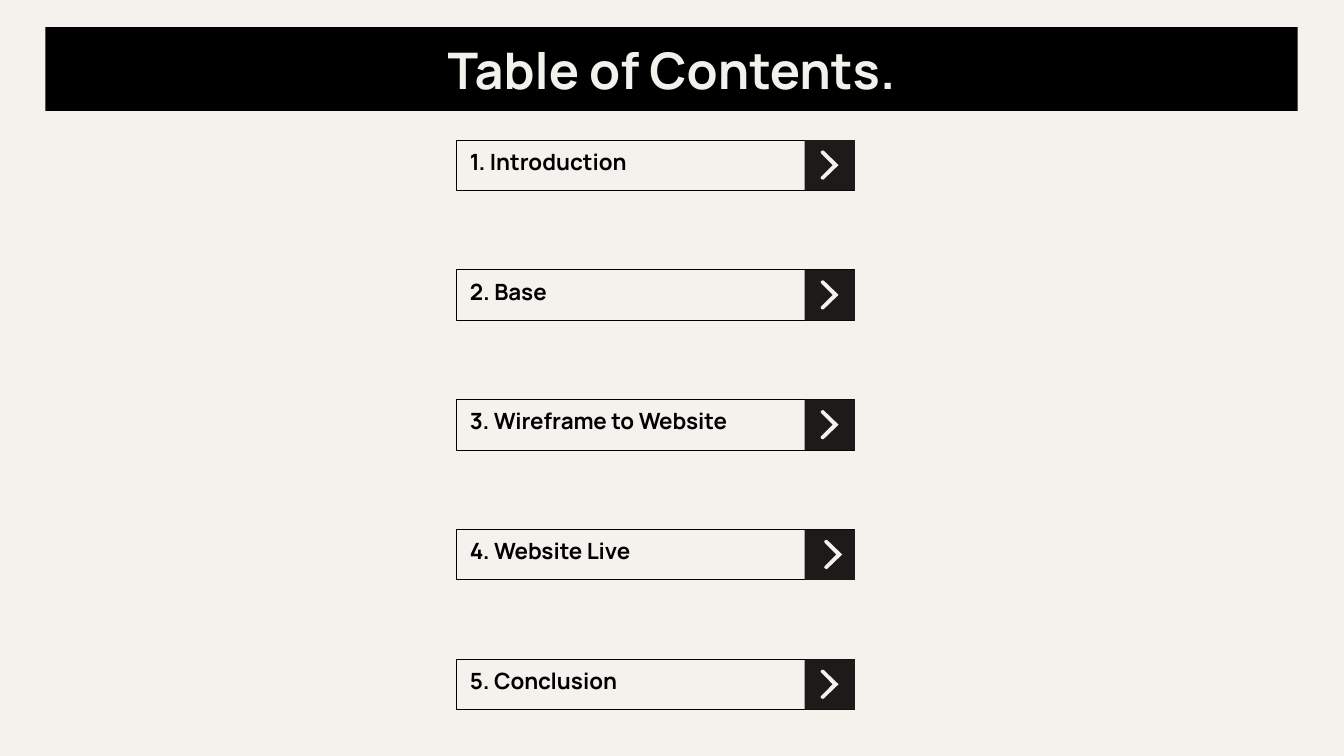
from dataclasses import dataclass

from pptx import Presentation
from pptx.dml.color import RGBColor
from pptx.enum.shapes import MSO_SHAPE as Shape
from pptx.enum.text import MSO_ANCHOR as Anchor, PP_ALIGN as Align
from pptx.util import Inches, Pt


@dataclass(frozen=True)
class Theme:
    paper: str = "F5F1EC"
    ink: str = "000000"
    tile: str = "1C1B1A"
    title_text: str = "F3F1EC"
    font: str = "Manrope"
    title_size: int = 36
    entry_size: int = 16
    border: float = 0.75
    inset: float = 0.13


THEME = Theme()
WIDTH, HEIGHT = Inches(13.33), Inches(7.5)
COL, ROW = WIDTH / 100, HEIGHT / 100

TITLE_BOX = (3.38, 3.6, 93.17, 11.07)
ENTRY_LEFT, ENTRY_TOP = 33.98, 18.53
ENTRY_WIDTH, ENTRY_HEIGHT = 29.63, 6.67
ENTRY_PITCH = 17.17
TILE_WIDTH = 3.75
CHEVRON_DX, CHEVRON_DY = 1.18, 1.37
CHEVRON_WIDTH, CHEVRON_HEIGHT = 1.35, 3.87
CHEVRON_SHARES = [
    (0.14, 0), (0.06, 0.02), (0.01, 0.05), (0.04, 0.1), (0.68, 0.5),
    (0.04, 0.9), (0.01, 0.95), (0.06, 0.98), (0.14, 1), (0.2, 0.98),
    (1, 0.5), (0.2, 0.02),
]
ENTRIES = [
    ("1. Introduction", 0),
    ("2. Base", 0),
    ("3. Wireframe to Website", 0),
    ("4. Website Live", 0.27),
    ("5. Conclusion", 0),
]


def rgb(color):
    return RGBColor.from_string(color)


def place(left, top, width, height):
    return [round(v) for v in (left * COL, top * ROW, width * COL, height * ROW)]


def paint(sp, fill=None, line=None):
    sp.shadow.inherit = False
    if fill:
        sp.fill.solid()
        sp.fill.fore_color.rgb = rgb(fill)
    else:
        sp.fill.background()
    if line:
        sp.line.color.rgb = rgb(line)
        sp.line.width = Pt(THEME.border)
    else:
        sp.line.fill.background()


def add_box(s, box, fill=None, line=None):
    sp = s.shapes.add_shape(Shape.RECTANGLE, *place(*box))
    paint(sp, fill, line)
    return sp


def write(sp, text, size, color, align, anchor, spacing=1.0):
    tf = sp.text_frame
    tf.word_wrap = True
    tf.vertical_anchor = anchor
    tf.margin_left = tf.margin_right = Inches(THEME.inset)
    tf.margin_top = tf.margin_bottom = Inches(THEME.inset)
    p = tf.paragraphs[0]
    p.alignment = align
    p.line_spacing = spacing
    r = p.add_run()
    r.text = text
    r.font.name = THEME.font
    r.font.size = Pt(size)
    r.font.bold = True
    r.font.color.rgb = rgb(color)


def add_title(s, text):
    sp = add_box(s, TITLE_BOX, fill=THEME.ink)
    write(sp, text, THEME.title_size, THEME.title_text, Align.CENTER, Anchor.MIDDLE)


def add_chevron(s, left, top):
    points = [
        (round((left + x * CHEVRON_WIDTH) * COL), round((top + y * CHEVRON_HEIGHT) * ROW))
        for x, y in CHEVRON_SHARES
    ]
    builder = s.shapes.build_freeform(*points[0])
    builder.add_line_segments(points[1:], close=True)
    paint(builder.convert_to_shape(), THEME.paper)


def add_entry(s, text, top, nudge):
    sp = add_box(s, (ENTRY_LEFT, top, ENTRY_WIDTH, ENTRY_HEIGHT), line=THEME.ink)
    write(sp, text, THEME.entry_size, THEME.ink, Align.LEFT, Anchor.TOP, 0.8)
    tile_left = ENTRY_LEFT + ENTRY_WIDTH - TILE_WIDTH
    add_box(s, (tile_left, top, TILE_WIDTH, ENTRY_HEIGHT), fill=THEME.tile)
    add_chevron(s, tile_left + CHEVRON_DX + nudge, top + CHEVRON_DY)


def main():
    prs = Presentation()
    prs.slide_width, prs.slide_height = WIDTH, HEIGHT
    s = prs.slides.add_slide(prs.slide_layouts[6])
    s.background.fill.solid()
    s.background.fill.fore_color.rgb = rgb(THEME.paper)
    add_title(s, "Table of Contents.")
    for i, (text, nudge) in enumerate(ENTRIES):
        add_entry(s, text, ENTRY_TOP + i * ENTRY_PITCH, nudge)
    prs.save("out.pptx")


if __name__ == "__main__":
    main()
